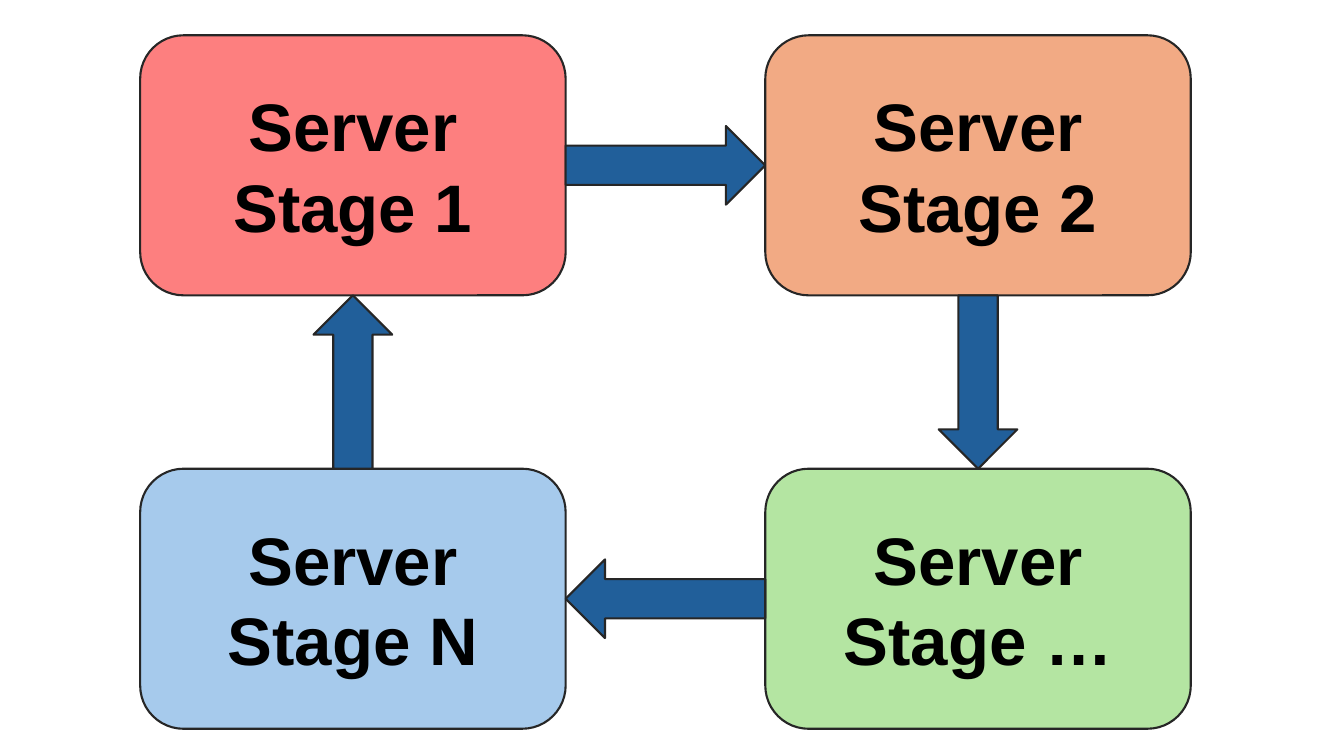
from pptx import Presentation
from pptx.dml.color import RGBColor
from pptx.enum.shapes import MSO_SHAPE as Shape
from pptx.enum.text import MSO_ANCHOR as Anchor, PP_ALIGN as Align
from pptx.util import Inches, Pt

COLORS = {
    "red": "FD7F7F",
    "orange": "F2AA84",
    "green": "B4E5A2",
    "blue": "A6CAEC",
    "arrow": "215F9A",
    "edge": "262626",
    "text": "000000",
}
STAGES = [
    ("Server Stage 1", "red", 0, 0),
    ("Server Stage 2", "orange", 1, 0),
    ("Server Stage …", "green", 1, 1),
    ("Server Stage N", "blue", 0, 1),
]
BOX_W, BOX_H = 4.22, 2.58
THICK = 0.78


def color(name):
    """Return the named colour."""
    return RGBColor.from_string(COLORS[name])


def block(slide, kind, mid, size, fill):
    """Add an outlined, filled shape centred on a point."""
    (x, y), (w, h) = mid, size
    shape = slide.shapes.add_shape(
        kind, Inches(x - w / 2), Inches(y - h / 2), Inches(w), Inches(h))
    shape.shadow.inherit = False
    shape.fill.solid()
    shape.fill.fore_color.rgb = color(fill)
    shape.line.color.rgb = color("edge")
    shape.line.width = Pt(1.5)
    return shape


def stage(slide, mid, label, fill):
    """Add one labelled server stage."""
    shape = block(slide, Shape.ROUNDED_RECTANGLE, mid, (BOX_W, BOX_H), fill)
    frame = shape.text_frame
    frame.word_wrap = True
    frame.vertical_anchor = Anchor.MIDDLE
    para = frame.paragraphs[0]
    para.text = label
    para.alignment = Align.CENTER
    font = para.font
    font.name, font.size, font.bold = "Arial", Pt(48), True
    font.color.rgb = color("text")


def cycle(slide, left, top, width, height):
    """Place the stages in the corners of a box, with arrows clockwise."""
    step_x, step_y = width - BOX_W, height - BOX_H
    gaps = step_x - BOX_W, step_y - BOX_H
    mids = [(left + BOX_W / 2 + col * step_x, top + BOX_H / 2 + row * step_y)
            for _, _, col, row in STAGES]
    for mid, (label, fill, _, _) in zip(mids, STAGES):
        stage(slide, mid, label, fill)
    for i, (x, y) in enumerate(mids):
        to_x, to_y = mids[(i + 1) % len(mids)]
        mid = (x + to_x) / 2, (y + to_y) / 2
        arrow = block(slide, Shape.RIGHT_ARROW, mid, (gaps[i % 2], THICK), "arrow")
        arrow.rotation = 90 * i


def main():
    """Build and save the slide."""
    deck = Presentation()
    deck.slide_width, deck.slide_height = Inches(13.33), Inches(7.5)
    slide = deck.slides.add_slide(deck.slide_layouts[6])
    cycle(slide, 1.39, 0.35, 10.42, 6.88)
    deck.save("out.pptx")


if __name__ == "__main__":
    main()
